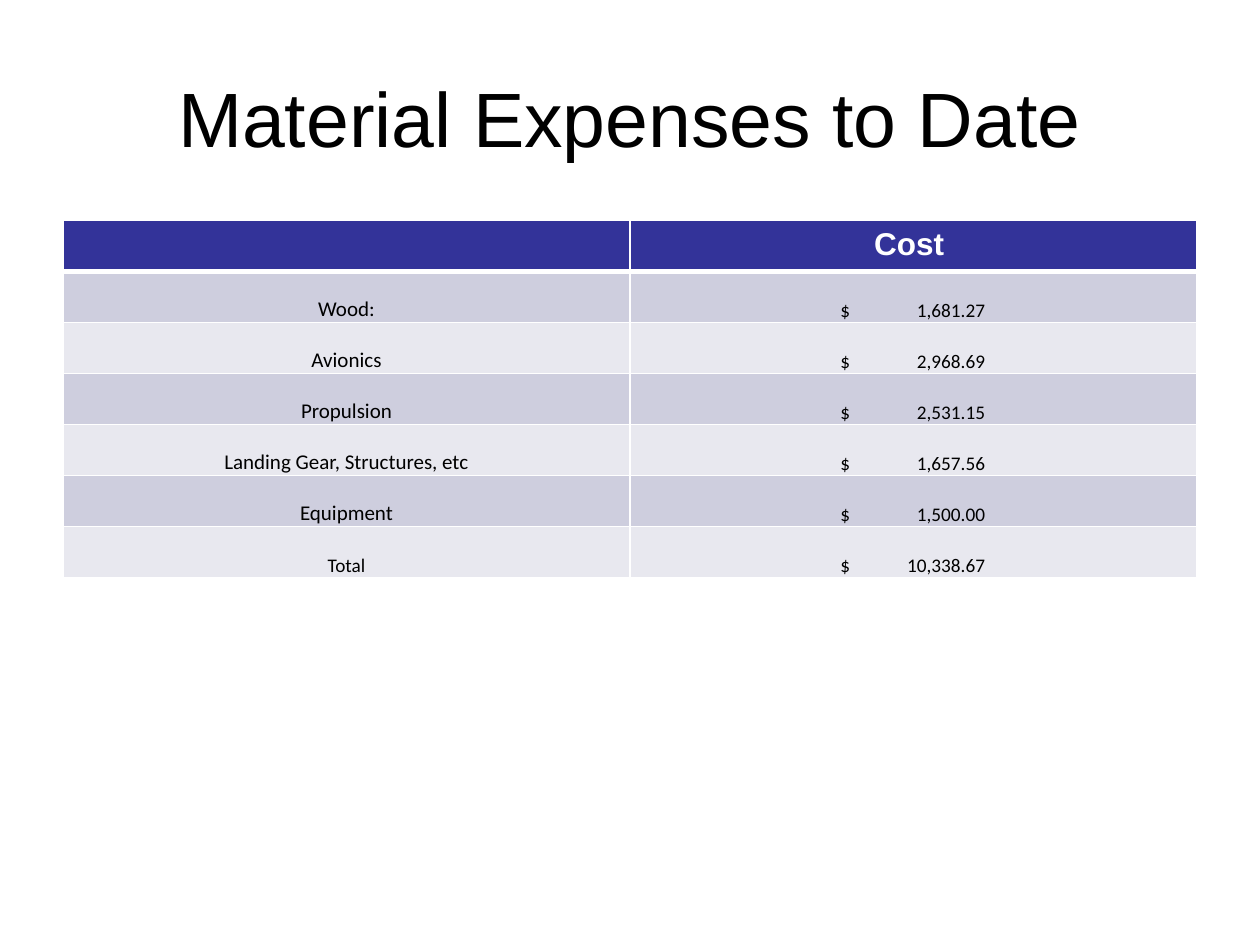
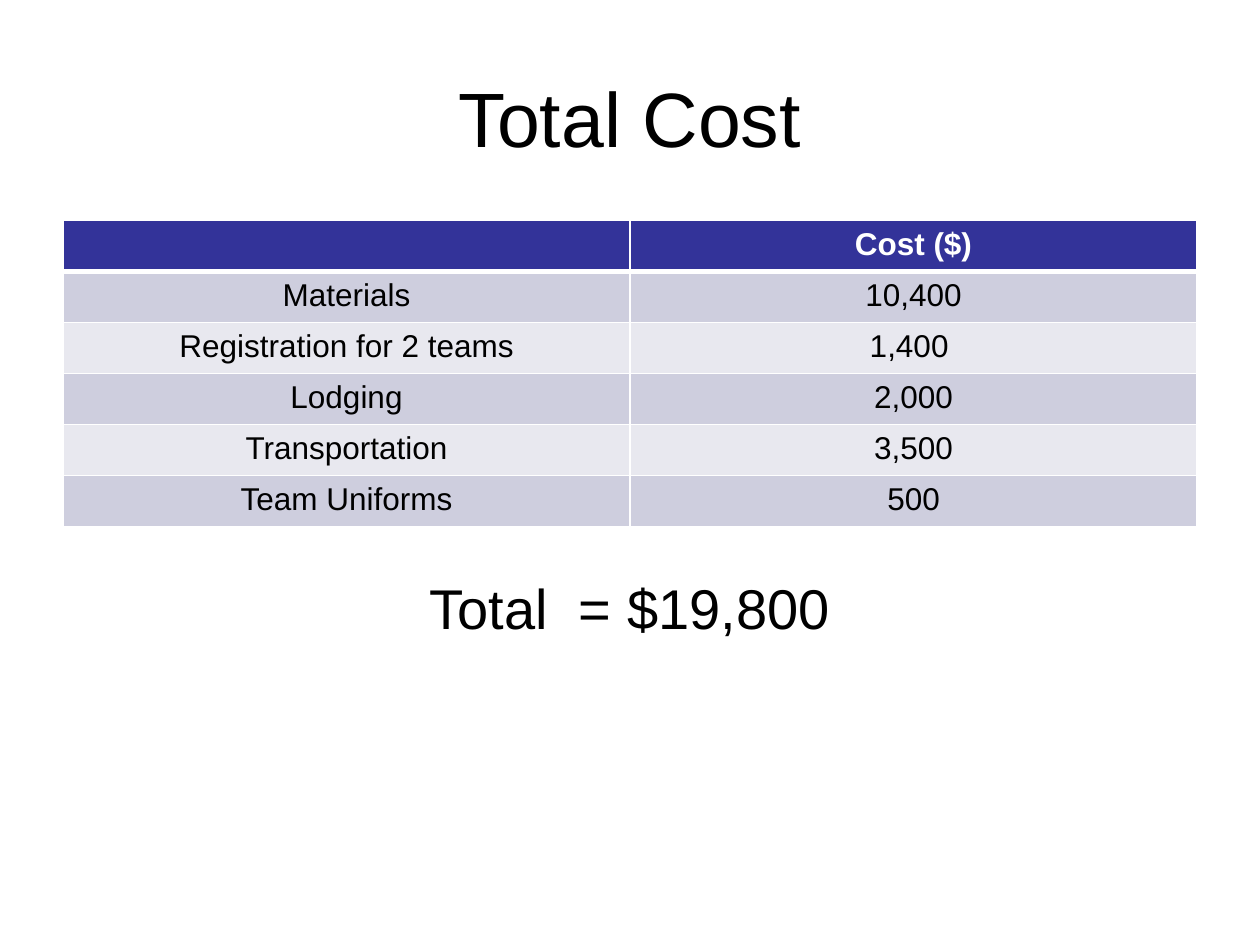
from dataclasses import dataclass

from lxml.etree import SubElement
from pptx import Presentation
from pptx.dml.color import RGBColor
from pptx.enum.text import MSO_ANCHOR, PP_ALIGN
from pptx.oxml.ns import qn
from pptx.util import Inches, Pt


@dataclass(frozen=True)
class Theme:
    ink: str = "000000"
    paper: str = "FFFFFF"
    header: str = "333399"
    bands: tuple = ("CECEDE", "E8E8EF")
    font: str = "Arial"
    sheet_font: str = "Calibri"
    title: float = 44
    body: float = 32
    cell: float = 18
    label: float = 12
    amount: float = 11
    rule: float = 1
    header_rule: float = 3


THEME = Theme()
WIDTH, HEIGHT = Inches(10), Inches(7.5)
LEFT, SPAN = 0.05, 0.9
TITLE_TOP, TITLE_HEIGHT = 0.04, 1 / 6
TABLE_TOP, ROW_HEIGHT = 0.2333, 0.054
BODY_TOP, BODY_HEIGHT = 0.6, 0.2933

EXPENSES = [
    ("Wood:", "1,681.27"),
    ("Avionics", "2,968.69"),
    ("Propulsion", "2,531.15"),
    ("Landing Gear, Structures, etc", "1,657.56"),
    ("Equipment", "1,500.00"),
    ("Total", "10,338.67"),
]
COSTS = [
    ("Materials", "10,400"),
    ("Registration for 2 teams", "1,400 "),
    ("Lodging", "2,000"),
    ("Transportation", "3,500"),
    ("Team Uniforms", "500"),
]


def place(sp, top, height):
    sp.left, sp.width = int(WIDTH * LEFT), int(WIDTH * SPAN)
    sp.top, sp.height = int(HEIGHT * top), int(HEIGHT * height)


def write(tf, text, size, font=THEME.font, color=THEME.ink, bold=False):
    p = tf.paragraphs[0]
    p.alignment = PP_ALIGN.CENTER
    r = p.add_run()
    r.text = text
    r.font.size, r.font.name, r.font.bold = Pt(size), font, bold
    r.font.color.rgb = RGBColor.from_string(color)
    return p


def add_slide(prs, layout, title):
    s = prs.slides.add_slide(prs.slide_layouts.get_by_name(layout))
    sp = s.shapes.title
    place(sp, TITLE_TOP, TITLE_HEIGHT)
    sp.text_frame.vertical_anchor = MSO_ANCHOR.MIDDLE
    write(sp.text_frame, title, THEME.title)
    return s


def add_total(s, text):
    sp = s.placeholders[1]
    place(sp, BODY_TOP, BODY_HEIGHT)
    p = write(sp.text_frame, text, THEME.body)
    p.space_before = Pt(THEME.body * 0.2)
    pPr = p._p.get_or_add_pPr()
    pPr.set("marL", str(Inches(0.38)))
    pPr.set("indent", str(-Inches(0.38)))
    SubElement(pPr, qn("a:buNone"))


def style_cell(cell, fill, top, bottom):
    tcPr = cell._tc.get_or_add_tcPr()
    widths = {"L": THEME.rule, "R": THEME.rule, "T": top, "B": bottom}
    for side, width in widths.items():
        ln = SubElement(tcPr, qn(f"a:ln{side}"), w=str(Pt(width)))
        SubElement(SubElement(ln, qn("a:solidFill")), qn("a:srgbClr"), val=THEME.paper)
    cell.fill.solid()
    cell.fill.fore_color.rgb = RGBColor.from_string(fill)


def fill_plain(label, value, row):
    for cell, text in zip((label, value), row):
        write(cell.text_frame, text, THEME.cell)


def fill_sheet(label, value, row):
    for cell in (label, value):
        cell.vertical_anchor = MSO_ANCHOR.BOTTOM
        cell.margin_left = cell.margin_right = cell.margin_top = Inches(0.01)
        cell.margin_bottom = 0
    name, amount = row
    size = THEME.amount if name == "Total" else THEME.label
    write(label.text_frame, name, size, THEME.sheet_font)
    value.margin_left = Inches(1.67)
    p = write(value.text_frame, f"$\t{amount}", THEME.amount, THEME.sheet_font)
    p.alignment = PP_ALIGN.LEFT
    tabs = SubElement(p._p.get_or_add_pPr(), qn("a:tabLst"))
    SubElement(tabs, qn("a:tab"), pos=str(Inches(1.15)), algn="r")


def add_cost_table(s, heading, rows, fill_row):
    count = len(rows) + 1
    frame = s.shapes.add_table(count, 2, 0, 0, int(WIDTH * SPAN), int(HEIGHT * ROW_HEIGHT * count))
    place(frame, TABLE_TOP, ROW_HEIGHT * count)
    table = frame.table
    table.first_row = table.horz_banding = False
    for i, line in enumerate(table.rows):
        line.height = int(HEIGHT * ROW_HEIGHT)
        fill = THEME.bands[(i - 1) % 2] if i else THEME.header
        top = THEME.header_rule if i == 1 else THEME.rule
        bottom = THEME.rule if i else THEME.header_rule
        for cell in line.cells:
            style_cell(cell, fill, top, bottom)
    write(table.cell(0, 1).text_frame, heading, THEME.cell, color=THEME.paper, bold=True)
    for i, row in enumerate(rows, 1):
        fill_row(table.cell(i, 0), table.cell(i, 1), row)


def main():
    prs = Presentation()
    prs.slide_width, prs.slide_height = WIDTH, HEIGHT

    s = add_slide(prs, "Title Only", "Material Expenses to Date")
    add_cost_table(s, "Cost ", EXPENSES, fill_sheet)

    s = add_slide(prs, "Title and Content", "Total Cost")
    add_total(s, "Total  = $19,800")
    add_cost_table(s, "Cost ($)", COSTS, fill_plain)

    prs.save("out.pptx")


if __name__ == "__main__":
    main()
